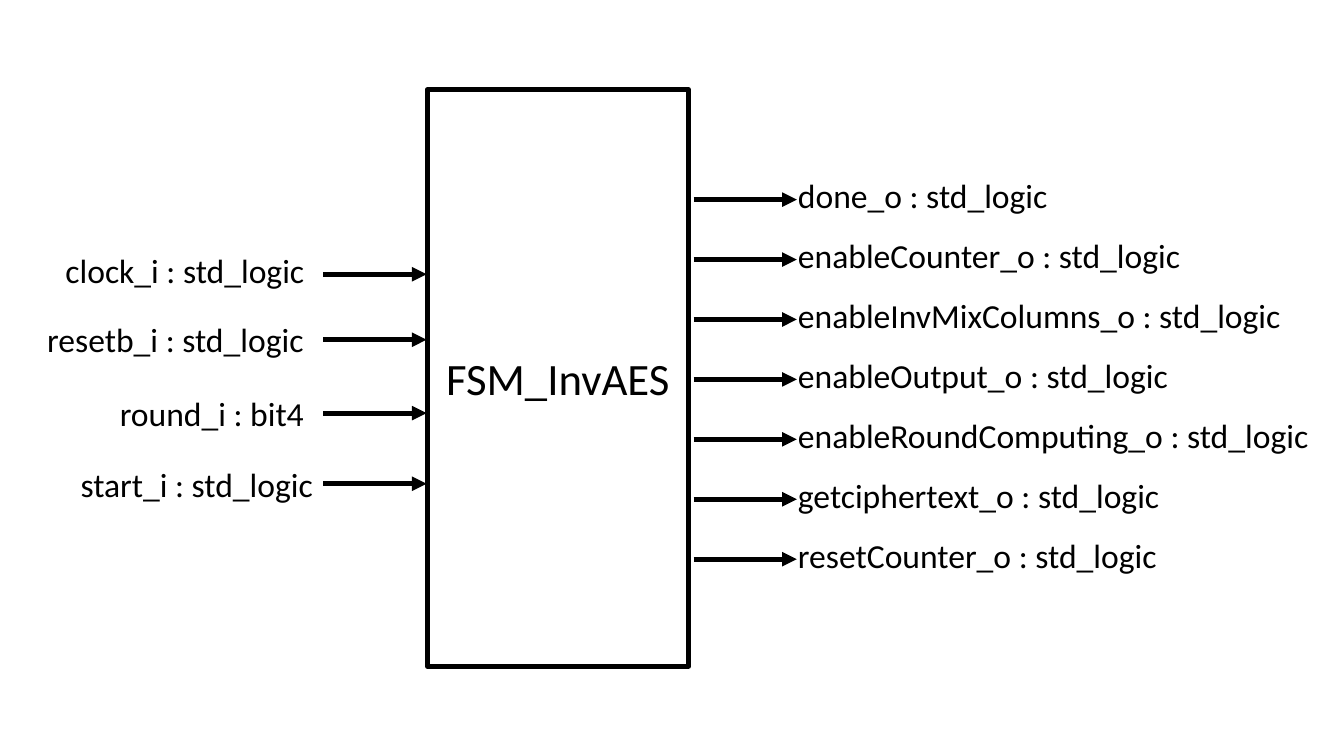
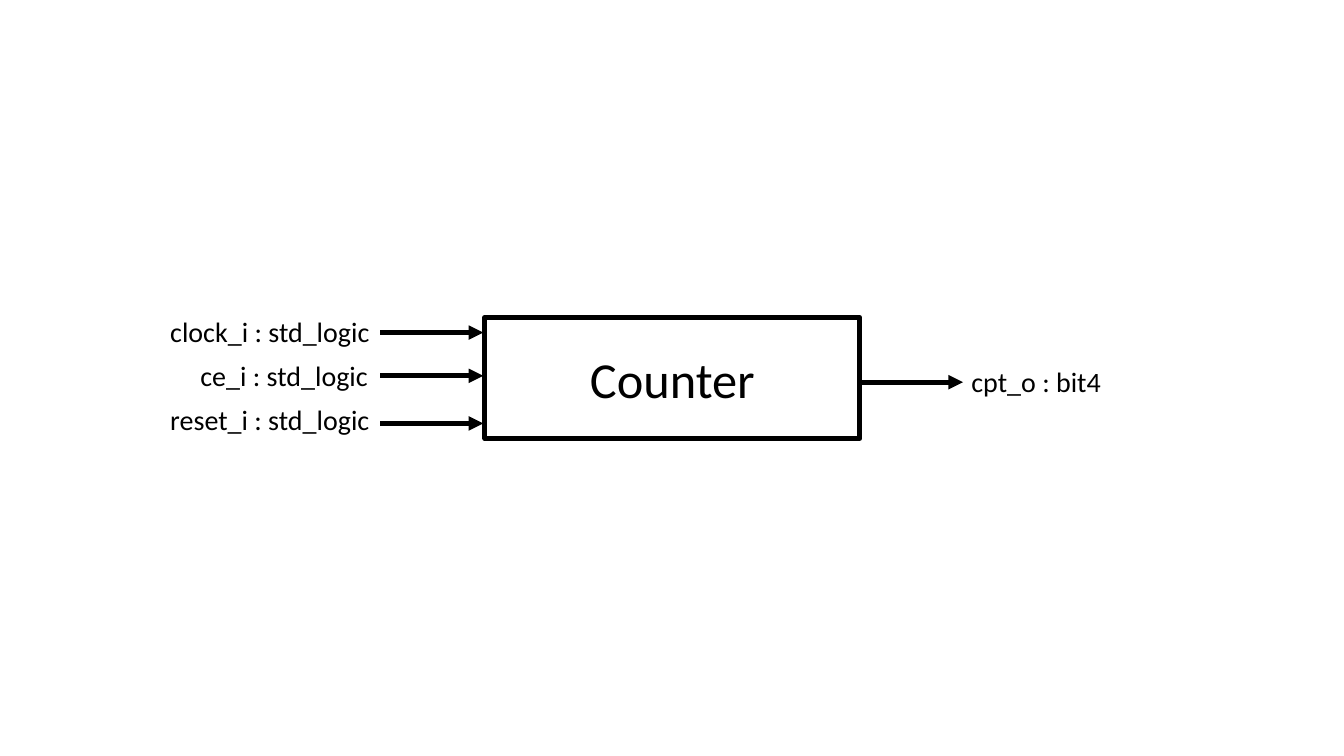
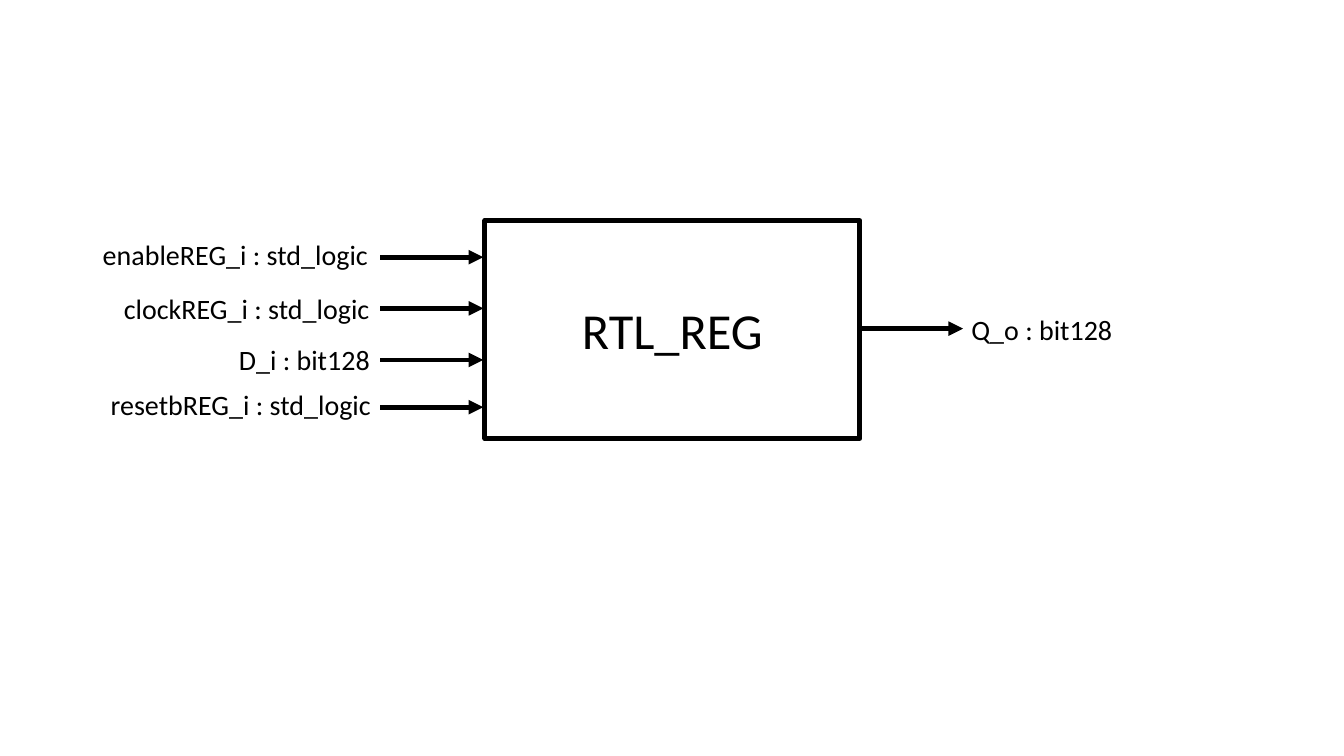
import collections

import pptx
import pptx.dml.color
import pptx.enum.shapes
import pptx.enum.text
import pptx.oxml
import pptx.oxml.ns
import pptx.util

Cm = pptx.util.Cm
Pt = pptx.util.Pt

FONT = "Calibri"
INK = "000000"
PAPER = "FFFFFF"
LINE_WIDTH = 3.5
ARROW_LENGTH = 2.6
LABEL_HEIGHTS = {24: 1.28, 20: 1.11}

Port = collections.namedtuple("Port", "text left top width arrow_y")
Block = collections.namedtuple(
    "Block", "name bounds name_size label_size input_x inputs output_x outputs")

FSM_OUTPUTS = [
    ("done_o : std_logic", 6.86),
    ("enableCounter_o : std_logic", 10.24),
    ("enableInvMixColumns_o : std_logic", 12.78),
    ("enableOutput_o : std_logic", 9.93),
    ("enableRoundComputing_o : std_logic", 13.51),
    ("getciphertext_o : std_logic", 9.7),
    ("resetCounter_o : std_logic", 9.63),
]


def evenly_spaced_ports(labels, left, first_arrow_y, pitch, label_rise):
    """Return ports at an equal pitch, each label starting above its arrow."""
    ports = []
    for index, (text, width) in enumerate(labels):
        arrow_y = first_arrow_y + index * pitch
        ports.append(Port(text, left, arrow_y - label_rise, width, arrow_y))
    return ports


BLOCKS = [
    Block(
        "FSM_InvAES", (10.77, 2.26, 6.58, 14.53), 32, 24,
        8.15, [
            Port("clock_i : std_logic", 1.4, 6.17, 6.58, 6.91),
            Port("resetb_i : std_logic", 0.94, 7.92, 7.04, 8.56),
            Port("round_i : bit4", 2.77, 9.78, 5.18, 10.41),
            Port("start_i : std_logic", 1.78, 11.56, 6.43, 12.19),
        ],
        17.48, evenly_spaced_ports(FSM_OUTPUTS, 19.86, 5.03, 1.51, 0.74)),
    Block(
        "Counter", (12.22, 8, 9.45, 3.05), 36, 20,
        9.58, [
            Port("clock_i : std_logic", 4.04, 7.8, 5.59, 8.38),
            Port("ce_i : std_logic", 4.8, 8.92, 4.78, 9.47),
            Port("reset_i : std_logic", 4.04, 10.03, 5.59, 10.67),
        ],
        21.67, [Port("cpt_o : bit4", 24.23, 9.07, 3.81, 9.63)]),
    Block(
        "RTL_REG", (12.22, 5.56, 9.45, 5.49), 36, 20,
        9.58, [
            Port("enableREG_i : std_logic", 2.34, 5.87, 7.26, 6.48),
            Port("clockREG_i : std_logic", 2.87, 7.21, 6.76, 7.77),
            Port("D_i : bit128", 5.77, 8.51, 3.84, 9.07),
            Port("resetbREG_i : std_logic", 2.54, 9.65, 7.14, 10.26),
        ],
        21.67, [Port("Q_o : bit128", 24.23, 7.75, 4.09, 8.28)]),
]


def color(hex_string):
    """Return the colour for a hex string."""
    return pptx.dml.color.RGBColor.from_string(hex_string)


def write_text(shape, text, size, alignment):
    """Put one formatted line of text in a shape."""
    shape.text_frame.text = text
    paragraph = shape.text_frame.paragraphs[0]
    paragraph.alignment = alignment
    font = paragraph.runs[0].font
    font.name = FONT
    font.size = Pt(size)
    font.color.rgb = color(INK)


def style_line(line):
    """Give a line the shared colour and width."""
    line.color.rgb = color(INK)
    line.width = Pt(LINE_WIDTH)


def add_block_box(slide, block):
    """Draw the outlined box that carries the block name."""
    box = slide.shapes.add_shape(
        pptx.enum.shapes.MSO_SHAPE.RECTANGLE,
        *[Cm(length) for length in block.bounds])
    box.shadow.inherit = False
    box.fill.solid()
    box.fill.fore_color.rgb = color(PAPER)
    style_line(box.line)
    box.text_frame.vertical_anchor = pptx.enum.text.MSO_ANCHOR.MIDDLE
    write_text(box, block.name, block.name_size, pptx.enum.text.PP_ALIGN.CENTER)


def add_arrow(slide, left, y):
    """Draw a horizontal signal arrow pointing right."""
    arrow = slide.shapes.add_connector(
        pptx.enum.shapes.MSO_CONNECTOR.STRAIGHT,
        Cm(left), Cm(y), Cm(left + ARROW_LENGTH), Cm(y))
    style_line(arrow.line)
    line_element = arrow.line._get_or_add_ln()
    pptx.oxml.ns.qn("a:tailEnd")
    namespace = pptx.oxml.ns.nsdecls("a")
    line_element.append(
        pptx.oxml.parse_xml(f'<a:tailEnd {namespace} type="triangle"/>'))
    arrow._element.spPr.append(
        pptx.oxml.parse_xml(f"<a:effectLst {namespace}/>"))


def add_port(slide, port, arrow_x, label_size):
    """Draw a signal arrow with its label."""
    add_arrow(slide, arrow_x, port.arrow_y)
    label = slide.shapes.add_textbox(
        Cm(port.left), Cm(port.top),
        Cm(port.width), Cm(LABEL_HEIGHTS[label_size]))
    label.text_frame.word_wrap = False
    label.text_frame.auto_size = pptx.enum.text.MSO_AUTO_SIZE.SHAPE_TO_FIT_TEXT
    write_text(label, port.text, label_size, pptx.enum.text.PP_ALIGN.LEFT)


def add_block_slide(presentation, block):
    """Add a slide showing one block with its input and output ports."""
    slide = presentation.slides.add_slide(presentation.slide_layouts[6])
    add_block_box(slide, block)
    for port in block.inputs:
        add_port(slide, port, block.input_x, block.label_size)
    for port in block.outputs:
        add_port(slide, port, block.output_x, block.label_size)


def main():
    """Build and save the presentation."""
    presentation = pptx.Presentation()
    presentation.slide_width = Cm(33.87)
    presentation.slide_height = Cm(19.05)
    for block in BLOCKS:
        add_block_slide(presentation, block)
    presentation.save("out.pptx")


main()
